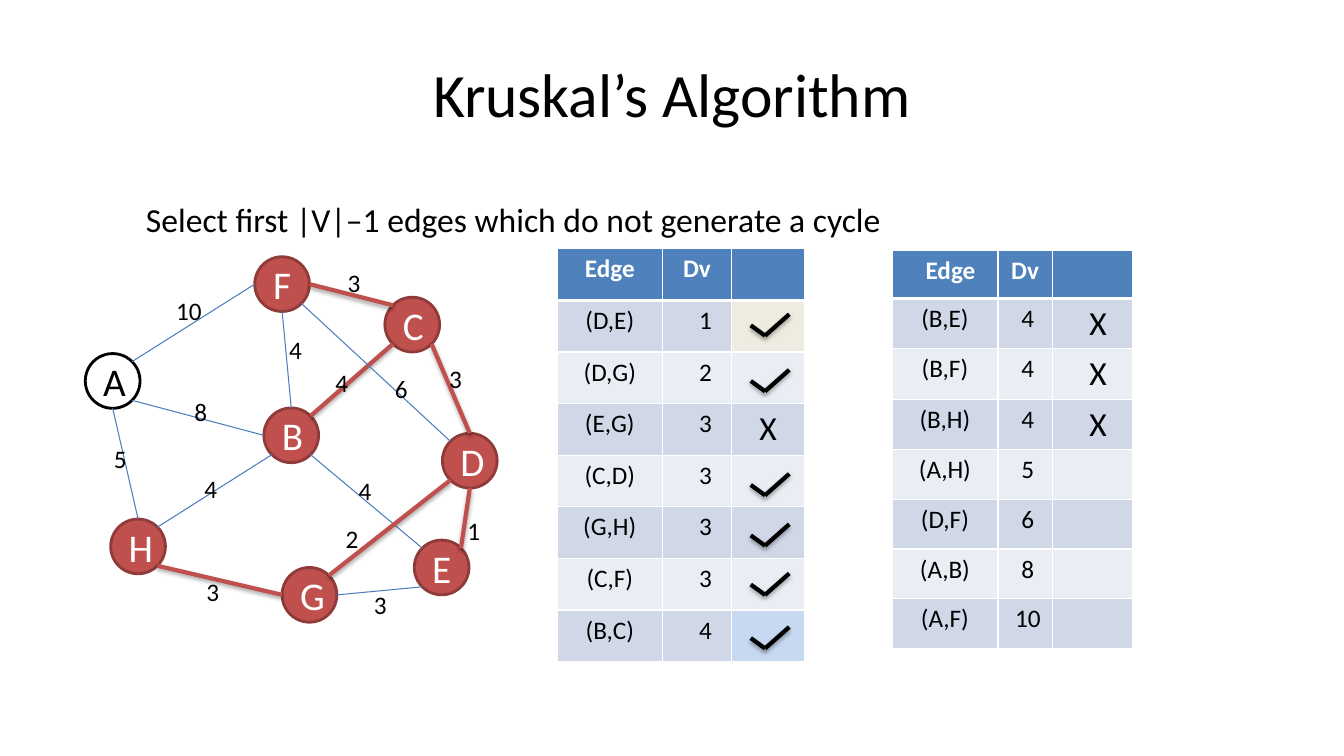
from dataclasses import dataclass
from math import cos, radians, sin

from lxml import etree
from pptx import Presentation
from pptx.dml.color import RGBColor
from pptx.enum.shapes import MSO_CONNECTOR, MSO_SHAPE
from pptx.enum.text import MSO_ANCHOR, PP_ALIGN
from pptx.oxml.ns import qn
from pptx.util import Cm, Pt

STRAIGHT = MSO_CONNECTOR.STRAIGHT
OVAL = MSO_SHAPE.OVAL
TOP, MIDDLE = MSO_ANCHOR.TOP, MSO_ANCHOR.MIDDLE
LEFT, CENTER = PP_ALIGN.LEFT, PP_ALIGN.CENTER


@dataclass(frozen=True)
class Theme:
    font: str = "Calibri"
    black: str = "000000"
    white: str = "FFFFFF"
    visited: str = "C0504D"
    visited_outline: str = "8E3B39"
    edge: str = "4B7EBC"
    header: str = "4F81BD"
    bands: tuple = ("D0D8E8", "E9EDF4")
    first_pick: str = "EEECE1"
    last_pick: str = "C6D9F1"
    title_size: int = 44
    node_size: int = 28
    body_size: int = 24
    label_size: int = 18
    thin: float = 0.75
    outline: float = 2
    thick: float = 3


NODE_RADIUS = 0.69
NODES = {
    "F": (7.11, 7.16), "A": (2.84, 9.60), "H": (3.48, 13.77), "G": (7.80, 14.99),
    "E": (11.13, 14.30), "D": (11.84, 11.61), "C": (10.39, 8.18), "B": (7.34, 10.97),
}
ANGLES = {side: 45 * step for step, side in enumerate(("E", "SE", "S", "SW", "W", "NW", "N", "NE"))}
EDGES = [
    ("F", "W", "A", "NE", False, "10", 4.19, 7.32),
    ("A", "S", "H", "N", False, "5", 2.62, 11.05),
    ("H", "SE", "G", "W", True, "3", 4.95, 14.40),
    ("G", "E", "E", "SW", False, "3", 9.17, 14.73),
    ("E", "NE", "D", "S", True, "1", 11.53, 12.85),
    ("D", "N", "C", "SE", True, "3", 11.07, 9.02),
    ("C", "NW", "F", "E", True, "3", 8.51, 6.60),
    ("B", "NE", "C", "SW", True, "4", 8.20, 9.14),
    ("B", "N", "F", "S", False, "4", 7.04, 8.31),
    ("B", "W", "A", "SE", False, "8", 4.65, 9.86),
    ("B", "SW", "H", "NE", False, "4", 4.90, 11.79),
    ("B", "SE", "E", "NW", False, "4", 8.79, 11.86),
    ("D", "NW", "F", "SE", False, "6", 9.70, 9.27),
    ("D", "SW", "G", "NE", True, "2", 8.46, 13.06),
]
HEADINGS = ("Edge", "Dv", "")
SHORT_EDGES = [
    ("(D,E)", "1", ""), ("(D,G)", "2", ""), ("(E,G)", "3", "X"), ("(C,D)", "3", ""),
    ("(G,H)", "3", ""), ("(C,F)", "3", ""), ("(B,C)", "4", ""),
]
LONG_EDGES = [
    ("(B,E)", "4", "X"), ("(B,F)", "4", "X"), ("(B,H)", "4", "X"), ("(A,H)", "5", ""),
    ("(D,F)", "6", ""), ("(A,B)", "8", ""), ("(A,F)", "10", ""),
]
CHECK_X = (18.92, 19.28, 19.89)
CHECK_TOPS = (8.20, 9.60, 12.22, 13.49, 14.73, 16.08)


class SlideBuilder:
    def __init__(self, slide, theme):
        self.slide = slide
        self.theme = theme

    def fill_frame(self, frame, content, size, color, align=LEFT, bold=False):
        para = frame.paragraphs[0]
        para.text = content
        para.alignment = align
        para.font.name = self.theme.font
        para.font.size = Pt(size)
        para.font.bold = bold
        para.font.color.rgb = RGBColor.from_string(color)

    def text(self, content, left, top, width, height, size, align=LEFT, anchor=TOP):
        box = self.slide.shapes.add_textbox(Cm(left), Cm(top), Cm(width), Cm(height))
        box.text_frame.word_wrap = True
        box.text_frame.vertical_anchor = anchor
        self.fill_frame(box.text_frame, content, size, self.theme.black, align)

    def node(self, name, fill, outline, color):
        x, y = NODES[name]
        circle = self.slide.shapes.add_shape(
            OVAL, Cm(x - NODE_RADIUS), Cm(y - NODE_RADIUS), Cm(2 * NODE_RADIUS), Cm(2 * NODE_RADIUS))
        circle.shadow.inherit = False
        circle.fill.solid()
        circle.fill.fore_color.rgb = RGBColor.from_string(fill)
        circle.line.color.rgb = RGBColor.from_string(outline)
        circle.line.width = Pt(self.theme.outline)
        circle.text_frame.vertical_anchor = MIDDLE
        self.fill_frame(circle.text_frame, name, self.theme.node_size, color, CENTER)

    def line(self, start, end, color, weight, shadow=False):
        line = self.slide.shapes.add_connector(STRAIGHT, *(Cm(value) for value in (*start, *end)))
        line.line.color.rgb = RGBColor.from_string(color)
        line.line.width = Pt(weight)
        effects = etree.SubElement(line._element.spPr, qn("a:effectLst"))
        if shadow:
            outer = etree.SubElement(effects, qn("a:outerShdw"), blurRad="40000", dist="23000",
                                     dir="5400000", rotWithShape="0")
            tint = etree.SubElement(outer, qn("a:srgbClr"), val=self.theme.black)
            etree.SubElement(tint, qn("a:alpha"), val="35000")

    def check(self, top):
        left, middle, right = CHECK_X
        bottom = (middle, top + 0.26)
        for end in ((left, top), (right, top - 0.28)):
            self.line(end, bottom, self.theme.black, self.theme.thick, True)

    def cell(self, cell, content, fill, size, color, lead=0.0, header=False):
        properties = cell._tc.get_or_add_tcPr()
        for side in ("lnL", "lnR", "lnT", "lnB"):
            weight = 3 if header and side == "lnB" else 1
            border = etree.SubElement(properties, qn(f"a:{side}"), w=str(Pt(weight)))
            solid = etree.SubElement(border, qn("a:solidFill"))
            etree.SubElement(solid, qn("a:srgbClr"), val=self.theme.white)
        cell.fill.solid()
        cell.fill.fore_color.rgb = RGBColor.from_string(fill)
        cell.margin_left = Cm(0.25 + lead)
        self.fill_frame(cell.text_frame, content, size, color, CENTER, header)

    def table(self, rows, left, top, widths, header_height, row_height, leads, heading_lead=0.0, accents=()):
        theme = self.theme
        height = header_height + row_height * len(rows)
        table = self.slide.shapes.add_table(
            len(rows) + 1, len(widths), Cm(left), Cm(top), Cm(sum(widths)), Cm(height)).table
        for column, width in zip(table.columns, widths):
            column.width = Cm(width)
        for index, row in enumerate(table.rows):
            row.height = Cm(row_height if index else header_height)
        for column, heading in enumerate(HEADINGS):
            self.cell(table.cell(0, column), heading, theme.header, theme.label_size, theme.white,
                      0 if column else heading_lead, True)
        highlights = dict(accents)
        for index, row in enumerate(rows):
            for column, content in enumerate(row):
                fill = highlights.get((index, column), theme.bands[index % 2])
                size = theme.body_size if content == "X" else theme.label_size
                self.cell(table.cell(index + 1, column), content, fill, size, theme.black, leads[column])


def rim(name, side):
    x, y = NODES[name]
    angle = radians(ANGLES[side])
    return x + NODE_RADIUS * cos(angle), y + NODE_RADIUS * sin(angle)


def main():
    theme = Theme()
    deck = Presentation()
    deck.slide_width, deck.slide_height = Cm(33.87), Cm(19.05)
    page = SlideBuilder(deck.slides.add_slide(deck.slide_layouts[6]), theme)

    page.text("Kruskal’s Algorithm", 1.70, 0.76, 30.48, 3.18, theme.title_size, CENTER, MIDDLE)
    page.text("Select first |V|–1 edges which do not generate a cycle",
              3.43, 4.88, 29.21, 14.10, theme.body_size)

    for name in NODES:
        if name == "A":
            page.node(name, theme.white, theme.black, theme.black)
        else:
            page.node(name, theme.visited, theme.visited_outline, theme.white)
    for first, first_side, second, second_side, chosen, *_ in EDGES:
        color, weight = (theme.visited, theme.thick) if chosen else (theme.edge, theme.thin)
        page.line(rim(first, first_side), rim(second, second_side), color, weight, chosen)
    for *_, distance, left, top in EDGES:
        page.text(distance, left, top, 0.67 * len(distance), 1.02, theme.label_size)

    page.table(SHORT_EDGES, 14.05, 6.27, (2.64, 1.75, 1.83), 1.3, 1.3, (0, 0.43, 0),
               accents=(((0, 2), theme.first_pick), ((6, 2), theme.last_pick)))
    page.table(LONG_EDGES, 22.48, 6.30, (2.67, 1.37, 2.03), 1.22, 1.25, (0, 0.14, 0.28), heading_lead=0.28)
    for top in CHECK_TOPS:
        page.check(top)

    deck.save("out.pptx")


if __name__ == "__main__":
    main()
